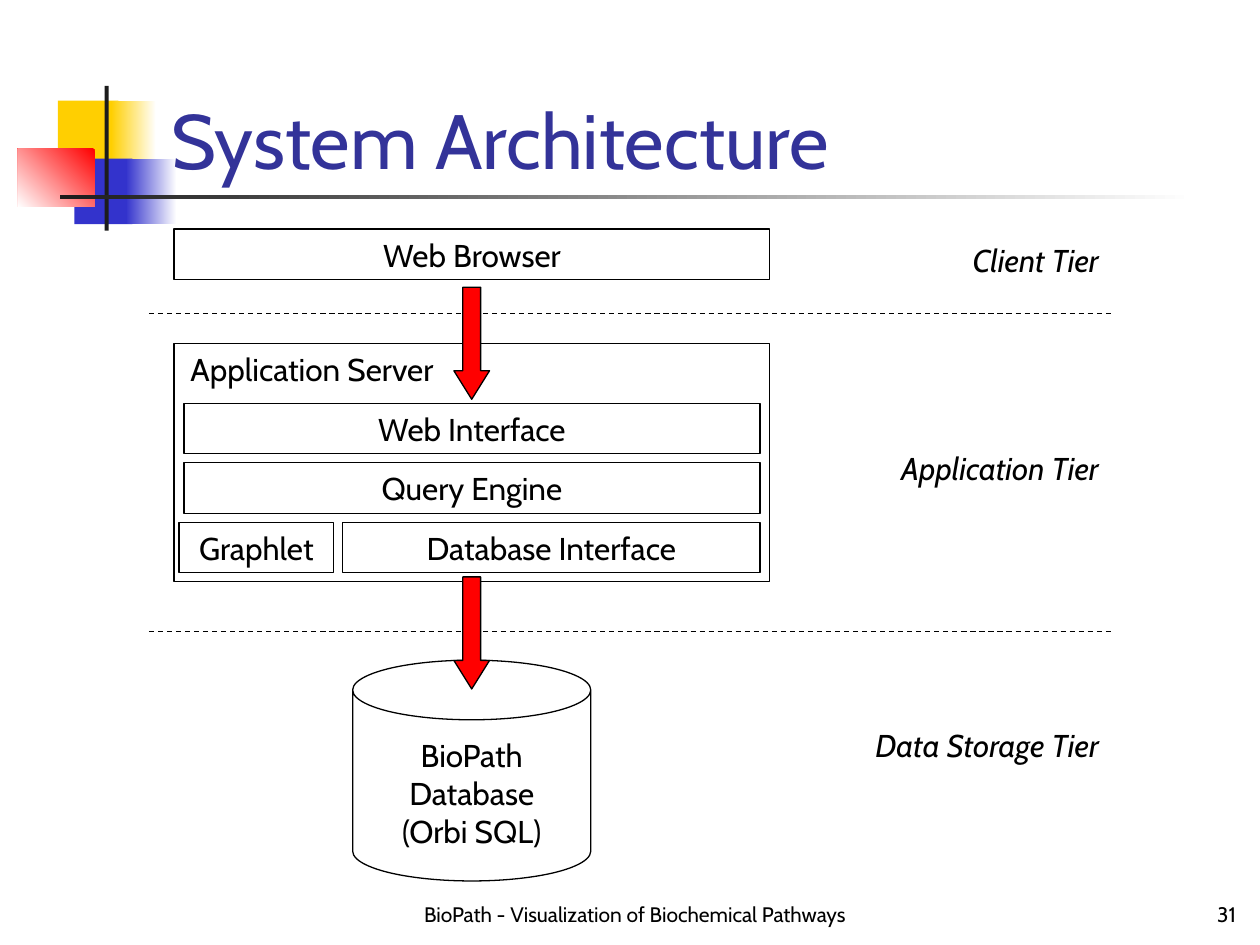
from pptx import Presentation
from pptx.dml.color import RGBColor
from pptx.enum.dml import MSO_LINE
from pptx.enum.shapes import MSO_CONNECTOR, MSO_SHAPE as Preset
from pptx.enum.text import MSO_ANCHOR as Anchor, PP_ALIGN as Align
from pptx.oxml.ns import qn
from pptx.util import Cm, Pt
from lxml.etree import SubElement

BLACK = RGBColor(0x00, 0x00, 0x00)
WHITE = RGBColor(0xFF, 0xFF, 0xFF)
YELLOW = RGBColor(0xFF, 0xCF, 0x01)
BLUE = RGBColor(0x33, 0x33, 0xCC)
RED = RGBColor(0xFF, 0x00, 0x00)
CHARCOAL = RGBColor(0x1C, 0x1C, 0x1C)
TITLE_BLUE = RGBColor(0x33, 0x33, 0x99)

FONT = "Cabin"
BODY = {"name": FONT, "size": Pt(18)}
TIER = {**BODY, "italic": True}
TITLE = {"name": FONT, "size": Pt(44)}
FOOTER = {"name": FONT, "size": Pt(12)}

ORNAMENTS = [
    ((1.17, 2.03, 1.22, 1.32), [YELLOW], 0),
    ((2.24, 2.03, 0.91, 1.32), [WHITE, YELLOW], 180),
    ((1.5, 3.2, 1.17, 1.32), [BLUE], 0),
    ((2.54, 3.2, 1.02, 1.32), [WHITE, BLUE], 180),
    ((0.36, 3, 1.55, 1.17), [RED, WHITE], 225),
    ((2.11, 1.73, 0.08, 2.92), [CHARCOAL], 0),
    ((1.22, 3.94, 22.86, 0.08), [WHITE, CHARCOAL], 180),
]

BROWSER = ("Web Browser", (3.51, 4.62, 12.01, 1.02))
SERVER = ("Application Server", (3.51, 6.93, 12.01, 4.8))
SERVER_ROWS = [
    [("Web Interface", 3.71, 11.61)],
    [("Query Engine", 3.71, 11.61)],
    [("Graphlet", 3.61, 3.12), ("Database Interface", 6.91, 8.41)],
]
ROW_TOP, ROW_PITCH, ROW_HEIGHT = 8.13, 1.2, 1.02
DATABASE = ("BioPath\nDatabase\n(Orbi SQL)", (7.11, 13.31, 4.8, 4.45))

TIERS = [("Client Tier", 4.72), ("Application Tier", 8.92), ("Data Storage Tier", 14.5)]
TIER_LEFT, TIER_WIDTH = 16.96, 5.44
DIVIDER_LEFT, DIVIDER_RIGHT = 3, 22.4
DIVIDER_TOPS = [6.32, 12.73]
ARROW_LEFT, ARROW_WIDTH, ARROW_HEIGHT = 9.15, 0.72, 2.26
ARROW_TOPS = [5.79, 11.63]

CAPTIONS = [
    ("System Architecture", (3.2, 1.73, 21.64, 2.13), TITLE, TITLE_BLUE, Align.LEFT),
    ("BioPath - Visualization of Biochemical Pathways",
     (5.92, 17.98, 13.77, 0.84), FOOTER, BLACK, Align.CENTER),
    ("31", (19.89, 17.98, 5.28, 0.84), FOOTER, BLACK, Align.RIGHT),
]


def write(box, text, style, color=BLACK, align=Align.CENTER, **frame_format):
    frame = box.text_frame
    settings = {
        "word_wrap": True, "vertical_anchor": Anchor.TOP,
        "margin_left": Cm(0.25), "margin_right": Cm(0.25),
        "margin_top": Cm(0.13), "margin_bottom": Cm(0.13), **frame_format,
    }
    for name, value in settings.items():
        setattr(frame, name, value)
    frame.text = text
    for para in frame.paragraphs:
        para.alignment = align
        for name, value in style.items():
            setattr(para.font, name, value)
        para.font.color.rgb = color


def add_text(page, text, place, *look, **frame_format):
    box = page.shapes.add_textbox(*map(Cm, place))
    write(box, text, *look, **frame_format)


def add_figure(page, preset, place, colors=(), angle=0, outlined=True):
    figure = page.shapes.add_shape(preset, *map(Cm, place))
    figure.shadow.inherit = False
    if len(colors) == 2:
        figure.fill.gradient()
        figure.fill.gradient_angle = angle
        for stop, color in zip(figure.fill.gradient_stops, colors):
            stop.color.rgb = color
    elif colors:
        figure.fill.solid()
        figure.fill.fore_color.rgb = colors[0]
    else:
        figure.fill.background()
    if outlined:
        figure.line.color.rgb = BLACK
        figure.line.width = Pt(0.75)
    else:
        figure.line.fill.background()
    return figure


def add_divider(page, top):
    line = page.shapes.add_connector(
        MSO_CONNECTOR.STRAIGHT, Cm(DIVIDER_LEFT), Cm(top), Cm(DIVIDER_RIGHT), Cm(top))
    line.line.color.rgb = BLACK
    line.line.width = Pt(0.75)
    line.line.dash_style = MSO_LINE.DASH
    SubElement(line._element.spPr, qn("a:effectLst"))


def add_components(page):
    write(add_figure(page, Preset.RECTANGLE, BROWSER[1]), BROWSER[0], BODY)
    write(add_figure(page, Preset.RECTANGLE, SERVER[1]), SERVER[0], BODY,
          align=Align.LEFT, margin_left=Cm(0.33))
    for index, row in enumerate(SERVER_ROWS):
        top = ROW_TOP + index * ROW_PITCH
        for text, left, width in row:
            box = add_figure(page, Preset.RECTANGLE, (left, top, width, ROW_HEIGHT))
            write(box, text, BODY)
    cylinder = add_figure(page, Preset.CAN, DATABASE[1])
    cylinder.adjustments[0] = 0.27
    write(cylinder, DATABASE[0], BODY, margin_top=Cm(0.33))


def main():
    deck = Presentation()
    deck.slide_width, deck.slide_height = Cm(25.4), Cm(19.05)
    page = deck.slides.add_slide(deck.slide_layouts[6])

    for place, colors, angle in ORNAMENTS:
        add_figure(page, Preset.RECTANGLE, place, colors, angle, outlined=False)
    for text, place, style, color, align in CAPTIONS:
        add_text(page, text, place, style, color, align, vertical_anchor=Anchor.BOTTOM)
    for top in DIVIDER_TOPS:
        add_divider(page, top)
    for text, top in TIERS:
        add_text(page, text, (TIER_LEFT, top, TIER_WIDTH, ROW_HEIGHT), TIER, BLACK, Align.RIGHT)
    add_components(page)
    for top in ARROW_TOPS:
        arrow = add_figure(
            page, Preset.DOWN_ARROW, (ARROW_LEFT, top, ARROW_WIDTH, ARROW_HEIGHT), [RED])
        arrow.adjustments[0], arrow.adjustments[1] = 0.5, 0.8

    deck.save("out.pptx")


if __name__ == "__main__":
    main()
